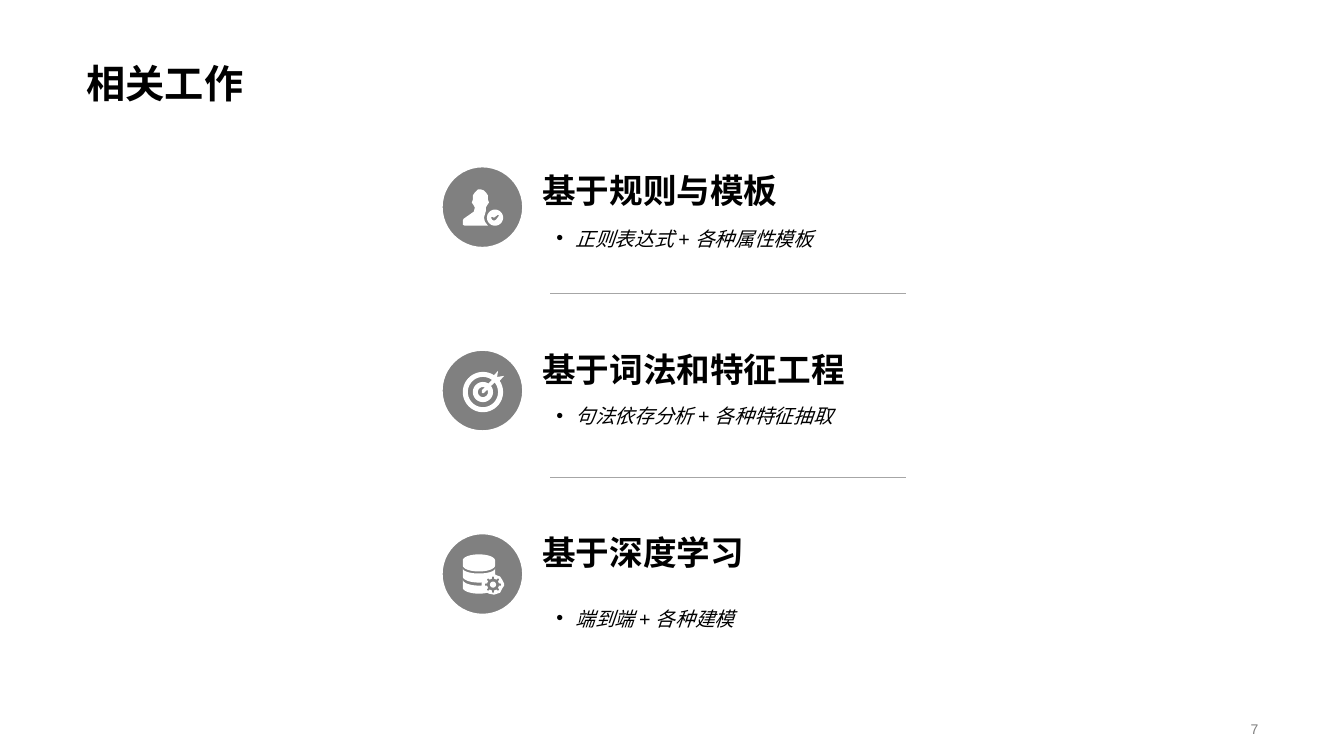
import math

import pptx
import pptx.dml.color
import pptx.enum.shapes
import pptx.enum.text
import pptx.oxml
import pptx.oxml.ns
import pptx.util
from pptx.util import Inches

FONT = "Arial"
BLACK, GRAY, RULE, WHITE = "000000", "808080", "A6A6A6", "FFFFFF"
BADGE_SIZE = 0.83
ROW_LEFT, ROW_TOP, ROW_PITCH = 4.37, 1.64, 1.82


def color(value):
    return pptx.dml.color.RGBColor.from_string(value)


def arc(cx, cy, rx, ry, start, end):
    """Points along an ellipse, in degrees, clockwise from the right."""
    steps = max(6, round(abs(end - start) / 8))
    angles = [math.radians(start + (end - start) * i / steps) for i in range(steps + 1)]
    return [(cx + rx * math.cos(a), cy + ry * math.sin(a)) for a in angles]


def gear(cx, cy, outer, inner, teeth):
    pitch = 360 / teeth
    edges = ((-0.25, inner), (-0.15, outer), (0.15, outer), (0.25, inner))
    polar = [(math.radians((tooth + shift) * pitch), radius)
             for tooth in range(teeth) for shift, radius in edges]
    return [(cx + r * math.cos(a), cy + r * math.sin(a)) for a, r in polar]


# Each icon is a list of contours, in inches from the corner of its badge.
PERSON = [
    [(0.47, 0.6), (0.24, 0.6), (0.22, 0.59), (0.22, 0.55), (0.23, 0.53), (0.33, 0.46),
     (0.34, 0.42), (0.33, 0.4), (0.31, 0.37), (0.32, 0.34), (0.32, 0.3), (0.34, 0.27),
     (0.37, 0.24), (0.4, 0.24), (0.43, 0.25), (0.45, 0.27), (0.47, 0.3), (0.47, 0.34),
     (0.48, 0.37), (0.46, 0.4), (0.45, 0.42), (0.45, 0.45), (0.43, 0.52), (0.44, 0.56)],
    arc(0.54, 0.52, 0.08, 0.08, 0, 360),
    [(0.57, 0.49), (0.53, 0.52), (0.51, 0.51), (0.5, 0.52), (0.51, 0.54),
     (0.53, 0.55), (0.55, 0.54), (0.58, 0.5)],
]
TARGET = [
    arc(0.42, 0.43, 0.2, 0.2, -34, 303) + [(0.57, 0.22), (0.56, 0.28), (0.63, 0.27)],
    arc(0.42, 0.43, 0.15, 0.15, -39, 307) + arc(0.42, 0.43, 0.1, 0.1, 302, -37),
    arc(0.42, 0.43, 0.05, 0.05, -22, 292)
    + [(0.41, 0.41), (0.41, 0.44), (0.43, 0.44), (0.46, 0.41)],
]
DATABASE = [
    arc(0.38, 0.28, 0.16, 0.06, 180, 360) + arc(0.38, 0.33, 0.16, 0.06, 0, 180),
    arc(0.38, 0.36, 0.16, 0.05, 180, 0)
    + [(0.54, 0.42), (0.56, 0.43), (0.59, 0.44), (0.61, 0.47), (0.63, 0.51),
       (0.63, 0.53), (0.61, 0.56), (0.59, 0.6), (0.56, 0.61), (0.53, 0.62),
       (0.48, 0.61), (0.46, 0.6)]
    + arc(0.38, 0.55, 0.16, 0.06, 60, 180)
    + arc(0.38, 0.47, 0.16, 0.06, 180, 80)
    + arc(0.38, 0.44, 0.16, 0.06, 80, 180),
    gear(0.52, 0.52, 0.08, 0.06, 8),
    arc(0.52, 0.52, 0.03, 0.03, 0, 360),
]

# Icon, heading, its drop, detail, its drop (both from the top of the badge).
APPROACHES = [
    (PERSON, "基于规则与模板", 0.05, "正则表达式 + 各种属性模板", 0.49),
    (TARGET, "基于词法和特征工程", 0, "句法依存分析 + 各种特征抽取", 0.43),
    (DATABASE, "基于深度学习", 0, "端到端 + 各种建模", 0.62),
]


def write(frame, text, size, fill=BLACK, bold=False, italic=False, align=None,
          spacing=None, bullet=False):
    frame.word_wrap = True
    paragraph = frame.paragraphs[0]
    paragraph.text = text
    if bullet:
        properties = paragraph._p.get_or_add_pPr()
        properties.set("marL", str(Inches(0.19)))
        properties.set("indent", str(-Inches(0.19)))
        namespace = pptx.oxml.ns.nsdecls("a")
        properties.append(pptx.oxml.parse_xml(f'<a:buFont {namespace} typeface="{FONT}"/>'))
        properties.append(pptx.oxml.parse_xml(f'<a:buChar {namespace} char="•"/>'))
    paragraph.alignment = align
    paragraph.line_spacing = spacing
    font = paragraph.runs[0].font
    font.name, font.size = FONT, pptx.util.Pt(size)
    font.bold, font.italic = bold, italic
    font.color.rgb = color(fill)


def add_label(slide, text, left, top, width, height, **style):
    frame = slide.shapes.add_textbox(*map(Inches, (left, top, width, height))).text_frame
    frame.margin_top = frame.margin_bottom = 0
    write(frame, text, **style)
    return frame


def add_title(slide, text, left, top, width, height):
    title = slide.shapes.title
    title.left, title.top, title.width, title.height = map(Inches, (left, top, width, height))
    title.text_frame.vertical_anchor = pptx.enum.text.MSO_ANCHOR.BOTTOM
    write(title.text_frame, text, size=28, bold=True, spacing=0.9,
          align=pptx.enum.text.PP_ALIGN.LEFT)


def add_badge(slide, contours, left, top):
    badge = slide.shapes.add_shape(
        pptx.enum.shapes.MSO_SHAPE.ROUNDED_RECTANGLE,
        *map(Inches, (left, top, BADGE_SIZE, BADGE_SIZE)))
    badge.adjustments[0] = 0.5
    badge.shadow.inherit = False
    badge.fill.solid()
    badge.fill.fore_color.rgb = color(GRAY)
    badge.line.color.rgb = color(WHITE)
    badge.line.width = pptx.util.Pt(3)

    placed = [[(Inches(left + x), Inches(top + y)) for x, y in contour]
              for contour in contours]
    outline = slide.shapes.build_freeform(*placed[0][0])
    for index, contour in enumerate(placed):
        if index:
            outline.move_to(*contour[0])
        outline.add_line_segments(contour[1:], close=True)
    icon = outline.convert_to_shape()
    icon.shadow.inherit = False
    icon.fill.solid()
    icon.fill.fore_color.rgb = color(WHITE)
    icon.line.fill.background()


def add_divider(slide, left, top, width):
    divider = slide.shapes.add_connector(
        pptx.enum.shapes.MSO_CONNECTOR.STRAIGHT,
        *map(Inches, (left, top, left + width, top)))
    divider.line.color.rgb = color(RULE)
    divider.line.width = pptx.util.Pt(0.25)
    divider._element.spPr.append(
        pptx.oxml.parse_xml(f'<a:effectLst {pptx.oxml.ns.nsdecls("a")}/>'))


def add_approach(slide, approach, left, top):
    icon, heading, heading_drop, detail, detail_drop = approach
    add_badge(slide, icon, left, top)
    add_label(slide, detail, left + 1.05, top + detail_drop, 3.7, 1,
              size=14, italic=True, spacing=1.5, bullet=True)
    add_label(slide, heading, left + 0.91, top + heading_drop, 3.71, 0.42,
              size=24, bold=True)


def add_page_number(slide, number, left, top, width, height):
    frame = add_label(slide, number, left, top, width, height, size=10, fill=GRAY,
                      align=pptx.enum.text.PP_ALIGN.RIGHT)
    frame.vertical_anchor = pptx.enum.text.MSO_ANCHOR.MIDDLE


def main():
    deck = pptx.Presentation()
    deck.slide_width, deck.slide_height = Inches(13.33), Inches(7.5)
    slide = deck.slides.add_slide(deck.slide_layouts[5])
    add_title(slide, "相关工作", 0.76, 0, 11.81, 1.11)
    for row, approach in enumerate(APPROACHES):
        top = ROW_TOP + row * ROW_PITCH
        add_approach(slide, approach, ROW_LEFT, top)
        if row < len(APPROACHES) - 1:
            add_divider(slide, ROW_LEFT + 1.09, top + 1.27, 3.53)
    add_page_number(slide, "7", 9.42, 7.12, 3.16, 0.23)
    deck.save("out.pptx")


if __name__ == "__main__":
    main()
